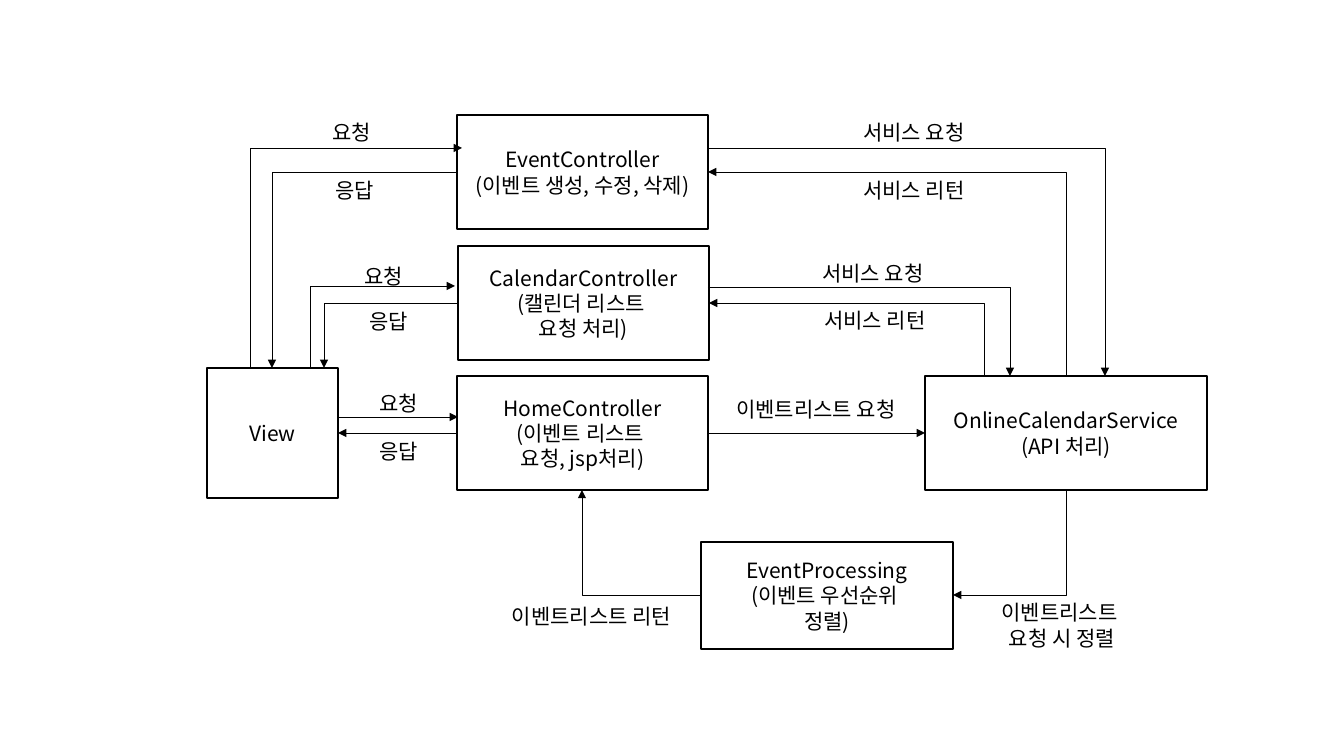
"""Build the request and response flow diagram of a calendar service."""
from lxml import etree
from pptx import Presentation
from pptx.dml.color import RGBColor
from pptx.enum.shapes import MSO_CONNECTOR, MSO_SHAPE
from pptx.enum.text import MSO_ANCHOR, PP_ALIGN
from pptx.oxml.ns import qn
from pptx.util import Emu, Pt

RECTANGLE = MSO_SHAPE.RECTANGLE
STRAIGHT, ELBOW = MSO_CONNECTOR.STRAIGHT, MSO_CONNECTOR.ELBOW
MIDDLE, TOP, CENTER = MSO_ANCHOR.MIDDLE, MSO_ANCHOR.TOP, PP_ALIGN.CENTER
PIXEL = 914400 / 100.8
FONT = "Noto Sans CJK KR"
COLORS = {"ink": "000000", "paper": "FFFFFF"}

BOXES = [
    (457, 376, 251, 114, ["HomeController", "(이벤트 리스트 ", "요청, jsp처리)"]),
    (925, 376, 282, 114, ["OnlineCalendarService", "(API 처리)"]),
    (457, 115, 251, 114, ["EventController", "(이벤트 생성, 수정, 삭제)"]),
    (701, 542, 252, 107, ["EventProcessing", "(이벤트 우선순위 ", "정렬)"]),
    (207, 368, 131, 130, ["View"]),
    (458, 246, 251, 114, ["CalendarController", "(캘린더 리스트 ", "요청 처리)"]),
]

LABELS = [
    (368, 386, 62, ["요청"]),
    (368, 434, 62, ["응답"]),
    (700, 392, 232, ["이벤트리스트 요청"]),
    (324, 173, 62, ["응답"]),
    (321, 115, 62, ["요청"]),
    (474, 599, 235, ["이벤트리스트 리턴"]),
    (798, 115, 232, ["서비스 요청"]),
    (798, 173, 232, ["서비스 리턴"]),
    (353, 259, 62, ["요청"]),
    (358, 304, 62, ["응답"]),
    (757, 256, 232, ["서비스 요청"]),
    (759, 303, 232, ["서비스 리턴"]),
    (946, 595, 232, ["이벤트리스트 ", "요청 시 정렬"]),
]

# Each arrow starts on its horizontal arm; the last field names the end with the tip.
ARROWS = [
    (462, 148, 250, 368, "headEnd"),
    (457, 172, 272, 368, "tailEnd"),
    (455, 286, 310, 368, "headEnd"),
    (458, 303, 324, 368, "tailEnd"),
    (338, 417, 458, 417, "tailEnd"),
    (457, 433, 338, 433, "tailEnd"),
    (708, 433, 925, 433, "tailEnd"),
    (953, 595, 1066, 490, "headEnd"),
    (701, 595, 582, 490, "tailEnd"),
    (708, 148, 1105, 376, "tailEnd"),
    (708, 172, 1066, 376, "headEnd"),
    (708, 287, 1010, 376, "tailEnd"),
    (709, 303, 984, 376, "headEnd"),
]


def scale(*pixels):
    return [Emu(round(pixel * PIXEL)) for pixel in pixels]


def color(name):
    return RGBColor.from_string(COLORS[name])


def write(shape, lines, anchor):
    frame = shape.text_frame
    frame.text = "\n".join(lines)
    frame.word_wrap = True
    frame.vertical_anchor = anchor
    for para in frame.paragraphs:
        para.alignment = CENTER
        para.font.name = FONT
        para.font.size = Pt(15)
        para.font.color.rgb = color("ink")


def add_box(page, left, top, width, height, lines):
    box = page.shapes.add_shape(RECTANGLE, *scale(left, top, width, height))
    box.shadow.inherit = False
    box.fill.solid()
    box.fill.fore_color.rgb = color("paper")
    box.line.color.rgb = color("ink")
    box.line.width = Pt(1)
    write(box, lines, MIDDLE)


def add_label(page, left, top, width, lines):
    height = 10 + 25 * len(lines)
    write(page.shapes.add_textbox(*scale(left, top, width, height)), lines, TOP)


def add_arrow(page, x1, y1, x2, y2, tip):
    kind = STRAIGHT if y1 == y2 else ELBOW
    arrow = page.shapes.add_connector(kind, *scale(x1, y1, x2, y2))
    arrow.line.color.rgb = color("ink")
    arrow.line.width = Pt(0.5)
    properties = arrow._element.spPr
    if kind == ELBOW:
        properties.find(qn("a:prstGeom")).set("prst", "bentConnector2")
    etree.SubElement(properties.find(qn("a:ln")), qn("a:" + tip), type="triangle")
    etree.SubElement(properties, qn("a:effectLst"))


deck = Presentation()
deck.slide_width, deck.slide_height = scale(1344, 756)
page = deck.slides.add_slide(deck.slide_layouts[6])
for add, items in ((add_box, BOXES), (add_label, LABELS), (add_arrow, ARROWS)):
    for item in items:
        add(page, *item)
deck.save("out.pptx")
